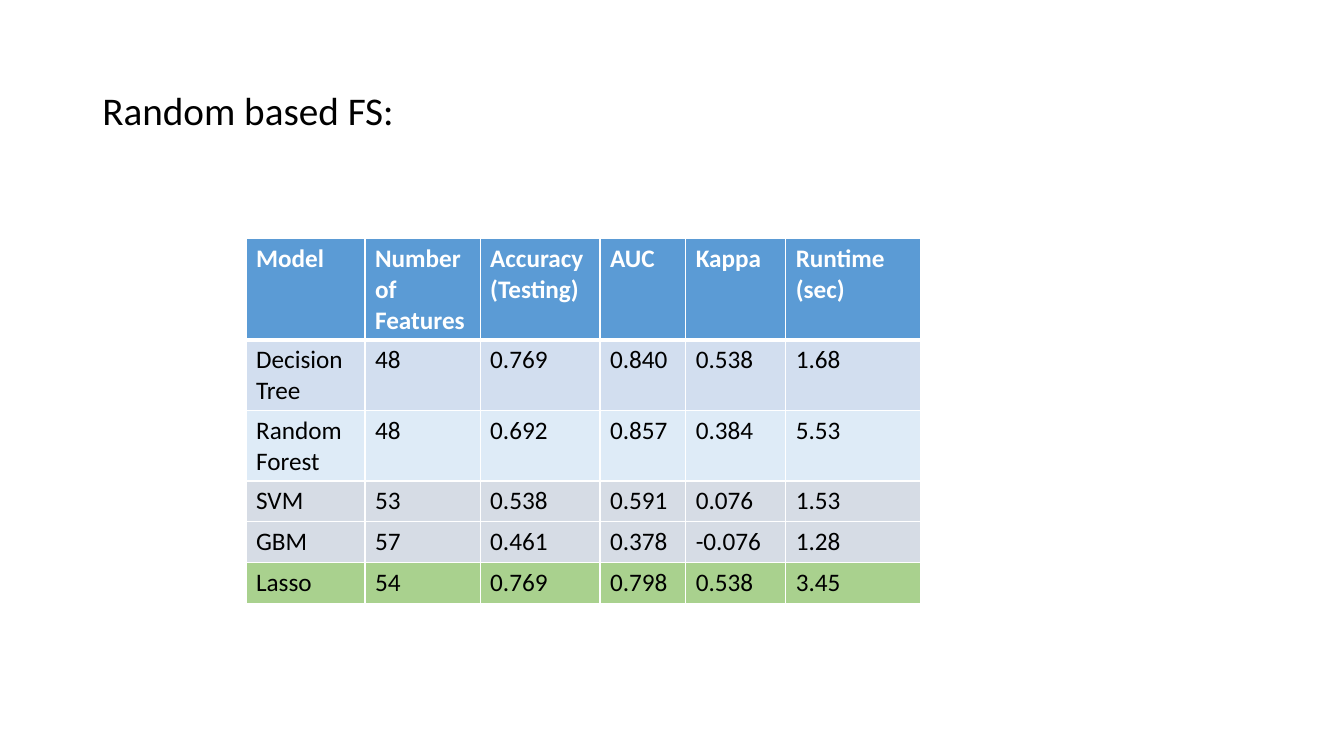
from lxml import etree
from pptx import Presentation
from pptx.dml.color import RGBColor
from pptx.enum import text
from pptx.oxml.ns import qn
from pptx.util import Cm, Pt

FONT = "Calibri"
WHITE, BLACK = "FFFFFF", "000000"
HEADER_FILL = "5B9BD5"
COLUMN_WIDTHS = [3, 2.9, 3.02, 2.16, 2.52, 3.4]
ROW_HEIGHT = 1.03
HEADERS = ["Model", "Number of Features", "Accuracy (Testing)", "AUC", "Kappa", "Runtime (sec)"]
RESULTS = [
    ("D2DEEF", ["Decision Tree", "48", "0.769", "0.840", "0.538", "1.68"]),
    ("DEEBF7", ["Random Forest", "48", "0.692", "0.857", "0.384", "5.53"]),
    ("D6DCE5", ["SVM", "53", "0.538", "0.591", "0.076", "1.53"]),
    ("D6DCE5", ["GBM", "57", "0.461", "0.378", "-0.076", "1.28"]),
    ("A9D18E", ["Lasso", "54", "0.769", "0.798", "0.538", "3.45"]),
]


def rgb(value):
    return RGBColor.from_string(value)


def write(tf, content, size, color, bold=False):
    tf.text = content
    for r in tf.paragraphs[0].runs:
        r.font.name = FONT
        r.font.size = Pt(size)
        r.font.bold = bold
        r.font.color.rgb = rgb(color)


def add_title(s, content):
    sp = s.shapes.add_textbox(Cm(2.33), Cm(1.01), Cm(29.21), Cm(3.68))
    tf = sp.text_frame
    tf.word_wrap = True
    tf.vertical_anchor = text.MSO_ANCHOR.MIDDLE
    write(tf, content, 28, BLACK)
    tf.paragraphs[0].line_spacing = 0.9


def set_borders(cell, top, bottom):
    tcPr = cell._tc.get_or_add_tcPr()
    for side, width in (("L", 1), ("R", 1), ("T", top), ("B", bottom)):
        ln = etree.SubElement(tcPr, qn("a:ln" + side), w=str(Pt(width)))
        fill = etree.SubElement(ln, qn("a:solidFill"))
        etree.SubElement(fill, qn("a:srgbClr"), val=WHITE)


def format_cell(cell, content, fill, row):
    is_header = row == 0
    write(cell.text_frame, content, 18, WHITE if is_header else BLACK, is_header)
    set_borders(cell, 3 if row == 1 else 1, 3 if is_header else 1)
    cell.fill.solid()
    cell.fill.fore_color.rgb = rgb(fill)


def add_results_table(s):
    rows = [(HEADER_FILL, HEADERS)] + RESULTS
    frame = s.shapes.add_table(len(rows), len(HEADERS), Cm(6.2), Cm(6.02),
                               Cm(sum(COLUMN_WIDTHS)), Cm(ROW_HEIGHT * len(rows)))
    table = frame.table
    for column, width in zip(table.columns, COLUMN_WIDTHS):
        column.width = Cm(width)
    for i, (fill, values) in enumerate(rows):
        table.rows[i].height = Cm(ROW_HEIGHT)
        for j, value in enumerate(values):
            format_cell(table.cell(i, j), value, fill, i)


def main():
    prs = Presentation()
    prs.slide_width, prs.slide_height = Cm(33.87), Cm(19.05)
    s = prs.slides.add_slide(prs.slide_layouts[6])
    add_title(s, "Random based FS:")
    add_results_table(s)
    prs.save("out.pptx")


if __name__ == "__main__":
    main()
